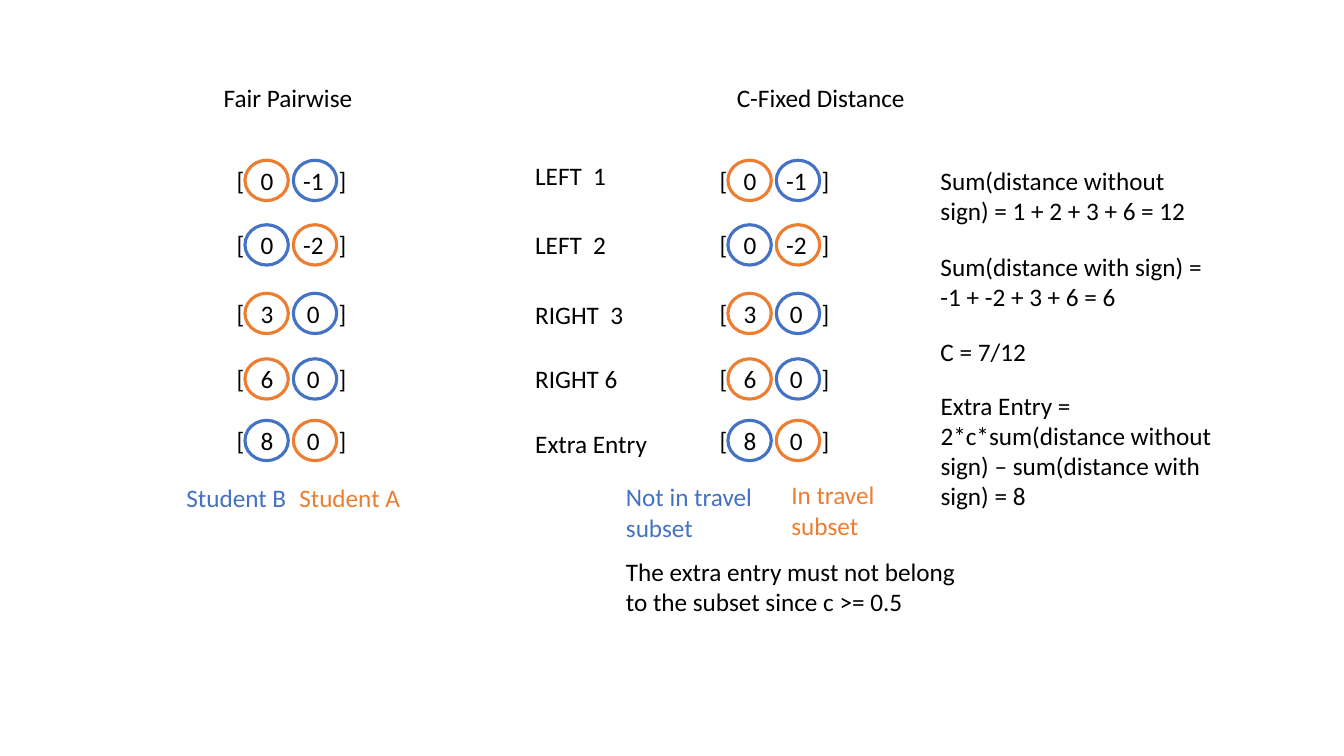
from lxml.etree import SubElement
from pptx import Presentation
from pptx.dml.color import RGBColor
from pptx.enum.shapes import MSO_SHAPE as Preset
from pptx.enum.text import MSO_AUTO_SIZE as AutoSize
from pptx.oxml.ns import qn
from pptx.util import Inches, Pt

BLACK = RGBColor(0x00, 0x00, 0x00)
BLUE = RGBColor(0x44, 0x72, 0xC4)
ORANGE = RGBColor(0xED, 0x7D, 0x31)

FONT_FORMAT = {"name": "Calibri", "size": Pt(18)}
FRAME_FORMAT = {"word_wrap": True, "auto_size": AutoSize.SHAPE_TO_FIT_TEXT}
LINE_HEIGHT = 0.4
PAIR_TABS = [(0.3, "ctr"), (0.76, "ctr"), (1.01, "l")]
PANEL_LEFTS = [2.25, 7.04]
CIRCLE_OFFSETS = [0.18, 0.66]

presentation = Presentation()
presentation.slide_width = Inches(13.33)
presentation.slide_height = Inches(7.5)
slide = presentation.slides.add_slide(presentation.slide_layouts[6])


def add_text(text, left, top, width, height=LINE_HEIGHT, color=BLACK):
    box = slide.shapes.add_textbox(*map(Inches, (left, top, width, height)))
    for name, value in FRAME_FORMAT.items():
        setattr(box.text_frame, name, value)
    paragraph = box.text_frame.paragraphs[0]
    run = paragraph.add_run()
    run.text = text
    for name, value in FONT_FORMAT.items():
        setattr(run.font, name, value)
    run.font.color.rgb = color
    return paragraph


def add_circle(left, top, color):
    circle = slide.shapes.add_shape(Preset.OVAL, *map(Inches, (left, top, 0.43, 0.4)))
    circle.shadow.inherit = False
    circle.fill.background()
    circle.line.color.rgb = color
    circle.line.width = Pt(2.25)


rows = [
    ("LEFT  1", 1.54, 1.26, 1.59, ("0", "-1"), (ORANGE, BLUE)),
    ("LEFT  2", 2.23, 1.26, 2.23, ("0", "-2"), (BLUE, ORANGE)),
    ("RIGHT  3", 2.92, 1.26, 2.91, ("3", "0"), (ORANGE, BLUE)),
    ("RIGHT 6", 3.56, 1.26, 3.56, ("6", "0"), (ORANGE, BLUE)),
    ("Extra Entry", 4.2, 1.42, 4.17, ("8", "0"), (BLUE, ORANGE)),
]
for label, label_top, label_width, pair_top, values, colors in rows:
    add_text(label, 5.21, label_top, label_width)
    for panel_left in PANEL_LEFTS:
        pair = add_text("\t".join(["[", *values, "]"]), panel_left, pair_top, 1.56)
        tab_list = SubElement(pair._p.get_or_add_pPr(), qn("a:tabLst"))
        for position, alignment in PAIR_TABS:
            SubElement(tab_list, qn("a:tab"), pos=str(Inches(position)), algn=alignment)
        for offset, color in zip(CIRCLE_OFFSETS, colors):
            add_circle(panel_left + offset, pair_top, color)

captions = [
    ("Fair Pairwise", 2.12, 0.77, 2.46, 0.4, BLACK),
    ("C-Fixed Distance", 7.21, 0.77, 2.46, 0.4, BLACK),
    ("Student B", 1.75, 4.74, 1.42, 0.4, BLUE),
    ("Student A", 2.87, 4.74, 1.42, 0.4, ORANGE),
    ("Not in travel subset", 6.11, 4.73, 1.64, 0.71, BLUE),
    ("In travel subset", 7.75, 4.71, 1.42, 0.71, ORANGE),
    ("The extra entry must not belong to the subset since c >= 0.5", 6.11, 5.47, 3.56, 0.71, BLACK),
    ("Sum(distance without sign) = 1 + 2 + 3 + 6 = 12", 9.23, 1.59, 2.86, 0.71, BLACK),
    ("Sum(distance with sign) = -1 + -2 + 3 + 6 = 6", 9.23, 2.44, 2.86, 0.71, BLACK),
    ("C = 7/12", 9.23, 3.29, 2.86, 0.4, BLACK),
    ("Extra Entry = 2*c*sum(distance without sign) – sum(distance with sign) = 8", 9.23, 3.82, 3.22, 1.31, BLACK),
]
for caption in captions:
    add_text(*caption)

presentation.save("out.pptx")
